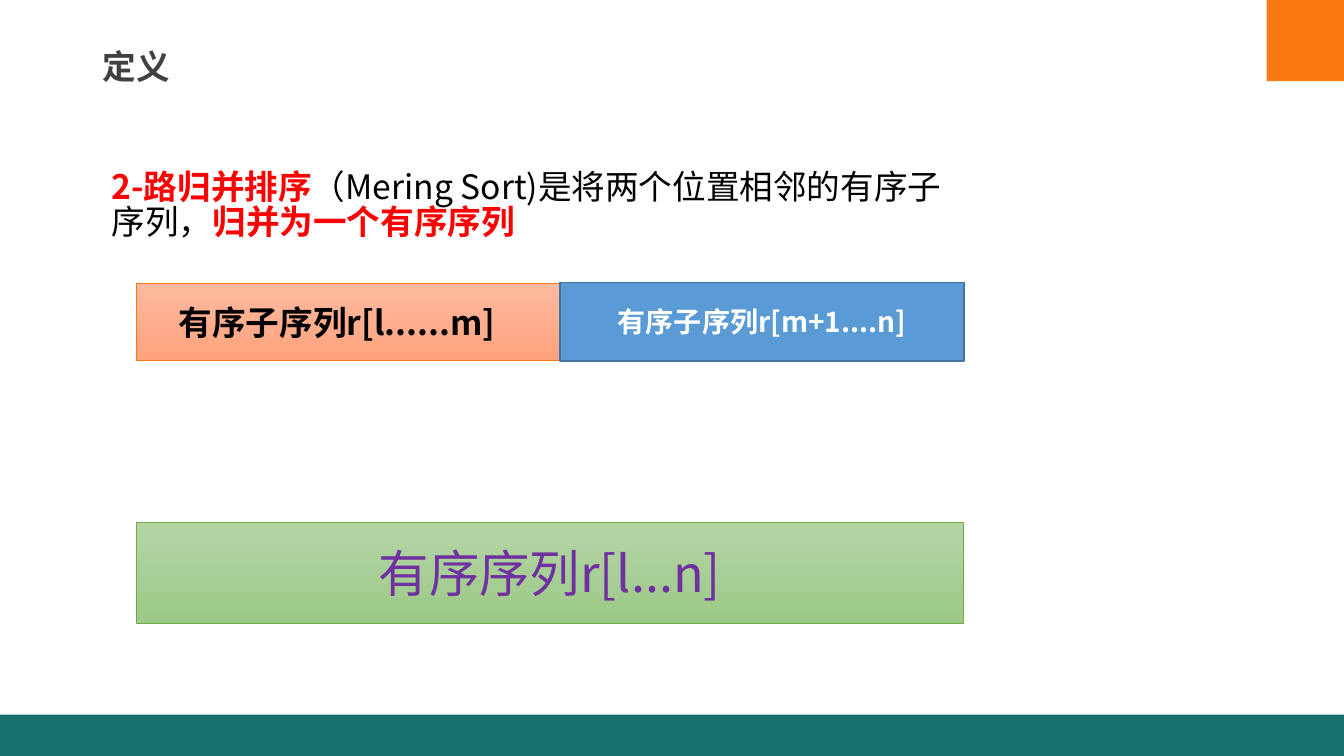
from lxml.etree import SubElement
from pptx import Presentation
from pptx.dml.color import RGBColor
from pptx.enum.shapes import MSO_SHAPE as Shape
from pptx.enum.text import MSO_ANCHOR as Anchor, MSO_AUTO_SIZE as Fit, PP_ALIGN as Align
from pptx.oxml.ns import qn
from pptx.util import Pt

FONT = "Noto Sans CJK SC"
TEAL = RGBColor(0x17, 0x6F, 0x6E)
ORANGE = RGBColor(0xFA, 0x78, 0x12)
GRAY = RGBColor(0x40, 0x40, 0x40)
RED = RGBColor(0xFF, 0x00, 0x00)
BLACK = RGBColor(0x00, 0x00, 0x00)
WHITE = RGBColor(0xFF, 0xFF, 0xFF)
PURPLE = RGBColor(0x70, 0x30, 0xA0)
PEACH = RGBColor(0xFF, 0xBA, 0x9F)
CORAL = RGBColor(0xFF, 0xA2, 0x7D)
BLUE = RGBColor(0x5B, 0x9B, 0xD5)
NAVY = RGBColor(0x43, 0x73, 0x9E)
MINT = RGBColor(0xB5, 0xD5, 0xA7)
LEAF = RGBColor(0x9C, 0xC9, 0x87)
GREEN = RGBColor(0x70, 0xAD, 0x47)


def add_run(para, text, size=24, color=BLACK, bold=False):
    run = para.add_run()
    run.text = text
    font = run.font
    font.size, font.bold, font.name = Pt(size), bold, FONT
    font.color.rgb = color
    SubElement(run._r.get_or_add_rPr(), qn("a:ea"), typeface=FONT)


def add_rect(slide, box, *fills, line=None, width=0.5):
    """Draw a rectangle; two fills make a gradient from top to bottom."""
    rect = slide.shapes.add_shape(Shape.RECTANGLE, *map(Pt, box))
    rect.shadow.inherit = False
    if len(fills) == 1:
        rect.fill.solid()
        rect.fill.fore_color.rgb = fills[0]
    else:
        rect.fill.gradient()
        rect.fill.gradient_angle = 270
        for stop, color in zip(rect.fill.gradient_stops, fills):
            stop.color.rgb = color
    if line is None:
        rect.line.fill.background()
    else:
        rect.line.color.rgb = line
        rect.line.width = Pt(width)
    return rect


def set_label(rect, text, **style):
    frame = rect.text_frame
    frame.vertical_anchor = Anchor.MIDDLE
    para = frame.paragraphs[0]
    para.alignment = Align.CENTER
    add_run(para, text, **style)


def set_title(slide, text):
    title = slide.shapes.title
    title.left, title.top, title.width, title.height = map(Pt, (66.2, 29.5, 197.3, 36))
    frame = title.text_frame
    frame.auto_size = Fit.NONE
    frame.vertical_anchor = Anchor.MIDDLE
    para = frame.paragraphs[0]
    para.alignment = Align.LEFT
    add_run(para, text, color=GRAY, bold=True)


def add_intro(slide):
    box = slide.shapes.add_textbox(*map(Pt, (72.7, 118.8, 620.6, 108)))
    box.text_frame.word_wrap = True
    para = box.text_frame.paragraphs[0]
    para.line_spacing = Pt(25)
    add_run(para, "2-路归并排序", color=RED, bold=True)
    add_run(para, "（Mering Sort)是将两个位置相邻的有序子序列，")
    add_run(para, "归并为一个有序序列", color=RED, bold=True)


def main():
    deck = Presentation()
    deck.slide_width, deck.slide_height = Pt(960), Pt(540)
    slide = deck.slides.add_slide(deck.slide_layouts[5])

    add_rect(slide, (0, 510.5, 960, 29.5), TEAL)
    add_rect(slide, (904.7, 0, 55.3, 58), ORANGE)
    set_title(slide, "定义")
    add_intro(slide)

    left = add_rect(slide, (97.2, 202.3, 303, 55.4), PEACH, CORAL, line=ORANGE)
    set_label(left, "有序子序列r[l......m]", bold=True)
    left.text_frame.margin_right = Pt(23)
    right = add_rect(slide, (400, 201.6, 288.7, 56.2), BLUE, line=NAVY, width=1)
    set_label(right, "有序子序列r[m+1....n]", size=20, color=WHITE, bold=True)
    merged = add_rect(slide, (97.2, 373, 591.2, 72), MINT, LEAF, line=GREEN)
    set_label(merged, "有序序列r[l...n]", size=36, color=PURPLE)

    deck.save("out.pptx")


if __name__ == "__main__":
    main()
